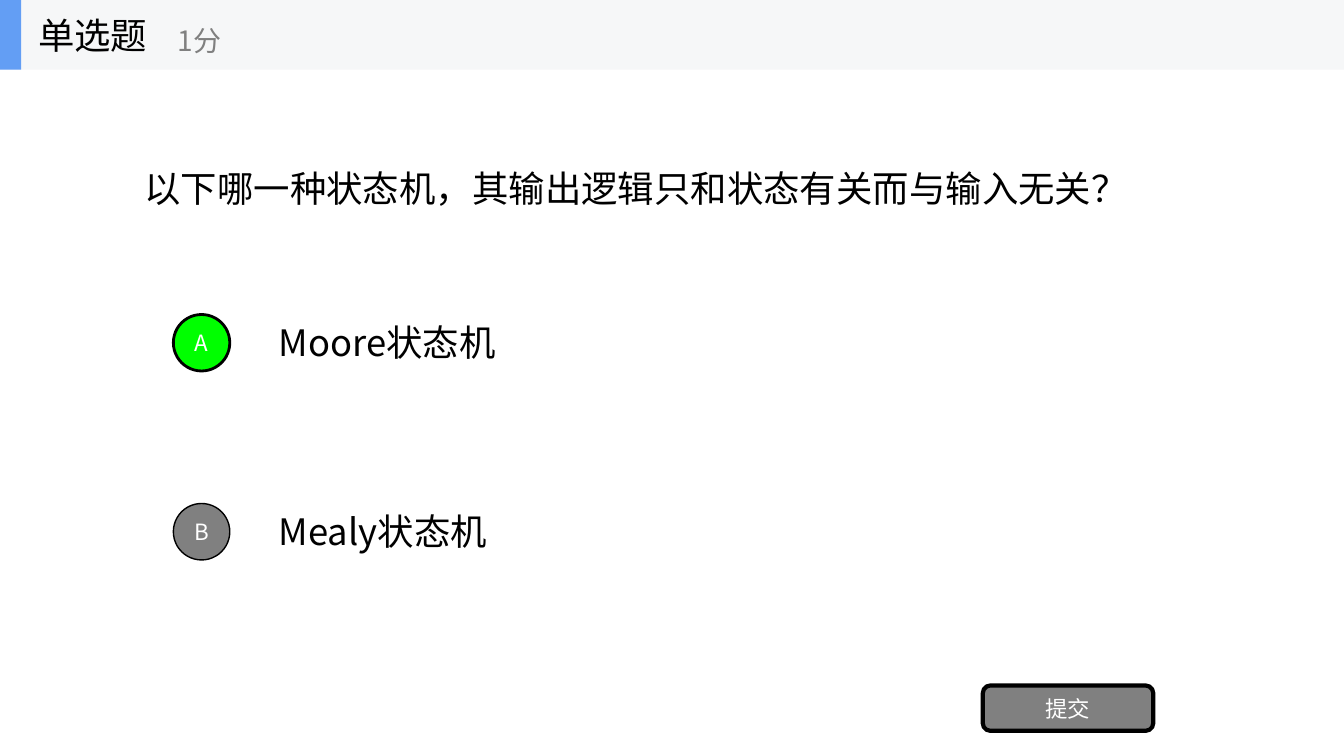
from lxml import etree
from pptx import Presentation
from pptx.dml.color import RGBColor
from pptx.enum.shapes import MSO_SHAPE
from pptx.enum.text import MSO_ANCHOR, MSO_AUTO_SIZE, PP_ALIGN
from pptx.oxml.ns import qn
from pptx.util import Inches, Pt

RECTANGLE = MSO_SHAPE.RECTANGLE
ROUNDED = MSO_SHAPE.ROUNDED_RECTANGLE
OVAL = MSO_SHAPE.OVAL
MIDDLE = MSO_ANCHOR.MIDDLE
NO_AUTOSIZE = MSO_AUTO_SIZE.NONE
LEFT, CENTER = PP_ALIGN.LEFT, PP_ALIGN.CENTER

BLACK = RGBColor(0x00, 0x00, 0x00)
WHITE = RGBColor(0xFF, 0xFF, 0xFF)
GRAY = RGBColor(0x80, 0x80, 0x80)
GREEN = RGBColor(0x00, 0xFF, 0x00)
HEADER_FILL = RGBColor(0xF6, 0xF7, 0xF8)
ACCENT_BLUE = RGBColor(0x63, 0x9E, 0xF4)

FONT = "Noto Sans CJK SC"
SLIDE_WIDTH, SLIDE_HEIGHT = Inches(13.333), Inches(7.5)

# Places are percentages of the slide's width and height
HEADER_HEIGHT = 9.2
OPTION_TOP, OPTION_PITCH = 41.6, 25
OPTIONS = [
    ("A", "Moore状态机", GREEN, 2),
    ("B", "Mealy状态机", GRAY, 1),
]


def share(left, top, width, height):
    """Turn percentages of the slide into lengths."""
    return (int(SLIDE_WIDTH * left / 100), int(SLIDE_HEIGHT * top / 100),
            int(SLIDE_WIDTH * width / 100), int(SLIDE_HEIGHT * height / 100))


def write_text(shape, text, size, color, alignment=LEFT):
    frame = shape.text_frame
    frame.word_wrap = True
    frame.auto_size = NO_AUTOSIZE
    frame.vertical_anchor = MIDDLE
    frame.text = text
    paragraph = frame.paragraphs[0]
    paragraph.alignment = alignment
    font = paragraph.font
    font.size = Pt(size)
    font.color.rgb = color
    font.name = FONT
    # East Asian characters take their own typeface element
    properties = paragraph._p.pPr.find(qn("a:defRPr"))
    etree.SubElement(properties, qn("a:ea"), typeface=FONT)


def add_label(slide, place, text, size, color):
    write_text(slide.shapes.add_textbox(*share(*place)), text, size, color)


def add_block(slide, kind, place, fill, line_width=0):
    shape = slide.shapes.add_shape(kind, *share(*place))
    shape.shadow.inherit = False
    shape.fill.solid()
    shape.fill.fore_color.rgb = fill
    if line_width:
        shape.line.color.rgb = BLACK
        shape.line.width = Pt(line_width)
    else:
        shape.line.fill.background()
    return shape


def add_button(slide, kind, place, text, fill, line_width):
    button = add_block(slide, kind, place, fill, line_width)
    write_text(button, text, 16, WHITE, CENTER)


def add_question(slide, text):
    title = slide.shapes.title
    title.left, title.top, title.width, title.height = share(10, 21.33, 75.5, 7.1)
    write_text(title, text, 26, BLACK)


def add_option(slide, index, letter, text, fill, line_width):
    top = OPTION_TOP + index * OPTION_PITCH
    add_label(slide, (20, top + 0.13, 19.1, 7.1), text, 26, BLACK)
    add_button(slide, OVAL, (12.9, top, 4.2, 7.47), letter, fill, line_width)


def add_header(slide):
    add_block(slide, RECTANGLE, (0, 0, 100, HEADER_HEIGHT), HEADER_FILL)
    add_block(slide, RECTANGLE, (0, 0, 1.58, HEADER_HEIGHT), ACCENT_BLUE)
    add_label(slide, (2.1, 0, 15.6, HEADER_HEIGHT), "单选题", 26, BLACK)
    add_label(slide, (12.5, 1.6, 18.75, 7.47), "1分", 20, GRAY)


def main():
    presentation = Presentation()
    presentation.slide_width = SLIDE_WIDTH
    presentation.slide_height = SLIDE_HEIGHT
    slide = presentation.slides.add_slide(presentation.slide_layouts.get_by_name("Title Only"))

    # Question and answers
    add_question(slide, "以下哪一种状态机，其输出逻辑只和状态有关而与输入无关？")
    for index, option in enumerate(OPTIONS):
        add_option(slide, index, *option)

    # Submit button and header band
    add_button(slide, ROUNDED, (73.13, 90.67, 12.68, 6), "提交", GRAY, 3)
    add_header(slide)

    presentation.save("out.pptx")


if __name__ == "__main__":
    main()
